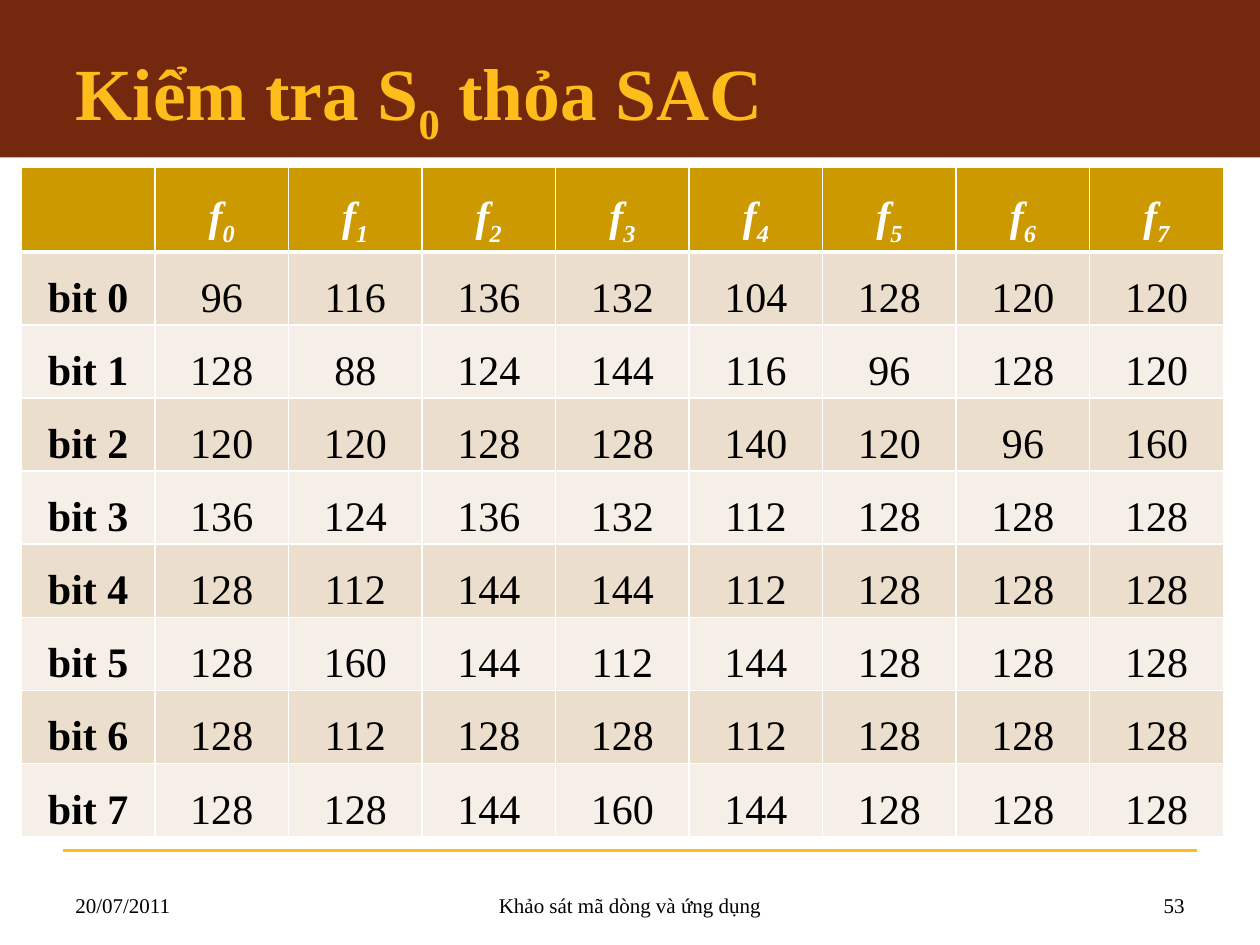
"""Builds the slide that tests whether S₀ satisfies the SAC."""
from lxml import etree
from pptx import Presentation
from pptx.dml.color import RGBColor
from pptx.enum.shapes import MSO_CONNECTOR, MSO_SHAPE
from pptx.enum.text import MSO_ANCHOR, PP_ALIGN
from pptx.oxml.ns import qn
from pptx.util import Inches, Pt

STRAIGHT, RECTANGLE = MSO_CONNECTOR.STRAIGHT, MSO_SHAPE.RECTANGLE
LEFT, CENTER, RIGHT = PP_ALIGN.LEFT, PP_ALIGN.CENTER, PP_ALIGN.RIGHT
MIDDLE, BOTTOM = MSO_ANCHOR.MIDDLE, MSO_ANCHOR.BOTTOM
BROWN = RGBColor(0x74, 0x29, 0x0E)
GOLD = RGBColor(0xFF, 0xBD, 0x1B)
OCHRE = RGBColor(0xCC, 0x99, 0x00)
SAND = RGBColor(0xEC, 0xDE, 0xCC)
CREAM = RGBColor(0xF6, 0xEF, 0xE7)
WHITE = RGBColor(0xFF, 0xFF, 0xFF)
BLACK = RGBColor(0x00, 0x00, 0x00)
FONT = "Times New Roman"

COUNTS = [
    [96, 116, 136, 132, 104, 128, 120, 120],
    [128, 88, 124, 144, 116, 96, 128, 120],
    [120, 120, 128, 128, 140, 120, 96, 160],
    [136, 124, 136, 132, 112, 128, 128, 128],
    [128, 112, 144, 144, 112, 128, 128, 128],
    [128, 160, 144, 112, 144, 128, 128, 128],
    [128, 112, 128, 128, 112, 128, 128, 128],
    [128, 128, 144, 160, 144, 128, 128, 128],
]


def write(paragraph, pieces, size, color, align, bold=False, italic=False):
    for position, piece in enumerate(pieces):
        run = paragraph.add_run()
        run.text = piece
        if position == 1:
            run._r.get_or_add_rPr().set("baseline", "-25000")
    paragraph.alignment = align
    font = paragraph.font
    font.name, font.size, font.bold, font.italic = FONT, Pt(size), bold, italic
    font.color.rgb = color


def border(cell, bottom_width):
    properties = cell._tc.get_or_add_tcPr()
    widths = {"lnL": 1, "lnR": 1, "lnT": 1, "lnB": bottom_width}
    for position, (side, width) in enumerate(widths.items()):
        edge = etree.Element(qn(f"a:{side}"), w=str(Pt(width)))
        fill = etree.SubElement(edge, qn("a:solidFill"))
        etree.SubElement(fill, qn("a:srgbClr"), val=str(WHITE))
        properties.insert(position, edge)


deck = Presentation()
deck.slide_width, deck.slide_height = Inches(10), Inches(7.5)
W, H = deck.slide_width, deck.slide_height
MARGIN = int(W * 0.05)
BAND_HEIGHT = H // 6
slide = deck.slides.add_slide(deck.slide_layouts[5])
shapes = slide.shapes
title = shapes.title

band = shapes.add_shape(RECTANGLE, 0, 0, W, BAND_HEIGHT)
band.shadow.inherit = False
band.fill.solid()
band.fill.fore_color.rgb = BROWN
band.line.fill.background()
title._element.addprevious(band._element)

rule = shapes.add_connector(STRAIGHT, MARGIN, int(H * 0.9), W - MARGIN, int(H * 0.9))
rule.line.color.rgb = GOLD
rule.line.width = Pt(1.5)
etree.SubElement(rule._element.spPr, qn("a:effectLst"))
title._element.addprevious(rule._element)

title.left, title.top = MARGIN, int(H * 0.04)
title.width, title.height = W - 2 * MARGIN, BAND_HEIGHT - title.top
title.text_frame.vertical_anchor = MIDDLE
write(title.text_frame.paragraphs[0], ["Kiểm tra S", "0", " thỏa SAC"], 42, GOLD, LEFT, bold=True)

header = [[]] + [["f", str(index)] for index in range(8)]
body = [[[f"bit {bit}"]] + [[str(count)] for count in counts] for bit, counts in enumerate(COUNTS)]
entries = [header] + body
COLUMN, HEADER_ROW, ROW = Inches(1.06), Inches(0.67), Inches(0.58)
table = shapes.add_table(
    len(entries), len(header), Inches(0.17), Inches(1.33),
    COLUMN * len(header), HEADER_ROW + ROW * len(body),
).table
table.horz_banding = False
for column in table.columns:
    column.width = COLUMN
for row, row_entries in enumerate(entries):
    is_header = row == 0
    table.rows[row].height = HEADER_ROW if is_header else ROW
    background = OCHRE if is_header else (SAND if row % 2 else CREAM)
    for column, pieces in enumerate(row_entries):
        cell = table.cell(row, column)
        cell.fill.solid()
        cell.fill.fore_color.rgb = background
        cell.margin_left = cell.margin_right = Inches(0.07)
        cell.margin_top = cell.margin_bottom = 0
        border(cell, 3 if is_header else 1)
        paragraph = cell.text_frame.paragraphs[0]
        paragraph.line_spacing = 1.5
        paragraph.space_after = Pt(10)
        write(paragraph, pieces, 24, WHITE if is_header else BLACK, CENTER,
              bold=is_header or column == 0, italic=is_header)

SIDE_WIDTH, CENTER_WIDTH = Inches(2.33), Inches(3.17)
footers = [
    ("20/07/2011", MARGIN, SIDE_WIDTH, LEFT),
    ("Khảo sát mã dòng và ứng dụng", (W - CENTER_WIDTH) // 2, CENTER_WIDTH, CENTER),
    ("53", W - MARGIN - SIDE_WIDTH, SIDE_WIDTH, RIGHT),
]
for text, left, width, align in footers:
    frame = shapes.add_textbox(left, int(H * 0.911), width, H // 15).text_frame
    frame.word_wrap = True
    frame.vertical_anchor = BOTTOM
    write(frame.paragraphs[0], [text], 12, BLACK, align)

deck.save("out.pptx")
